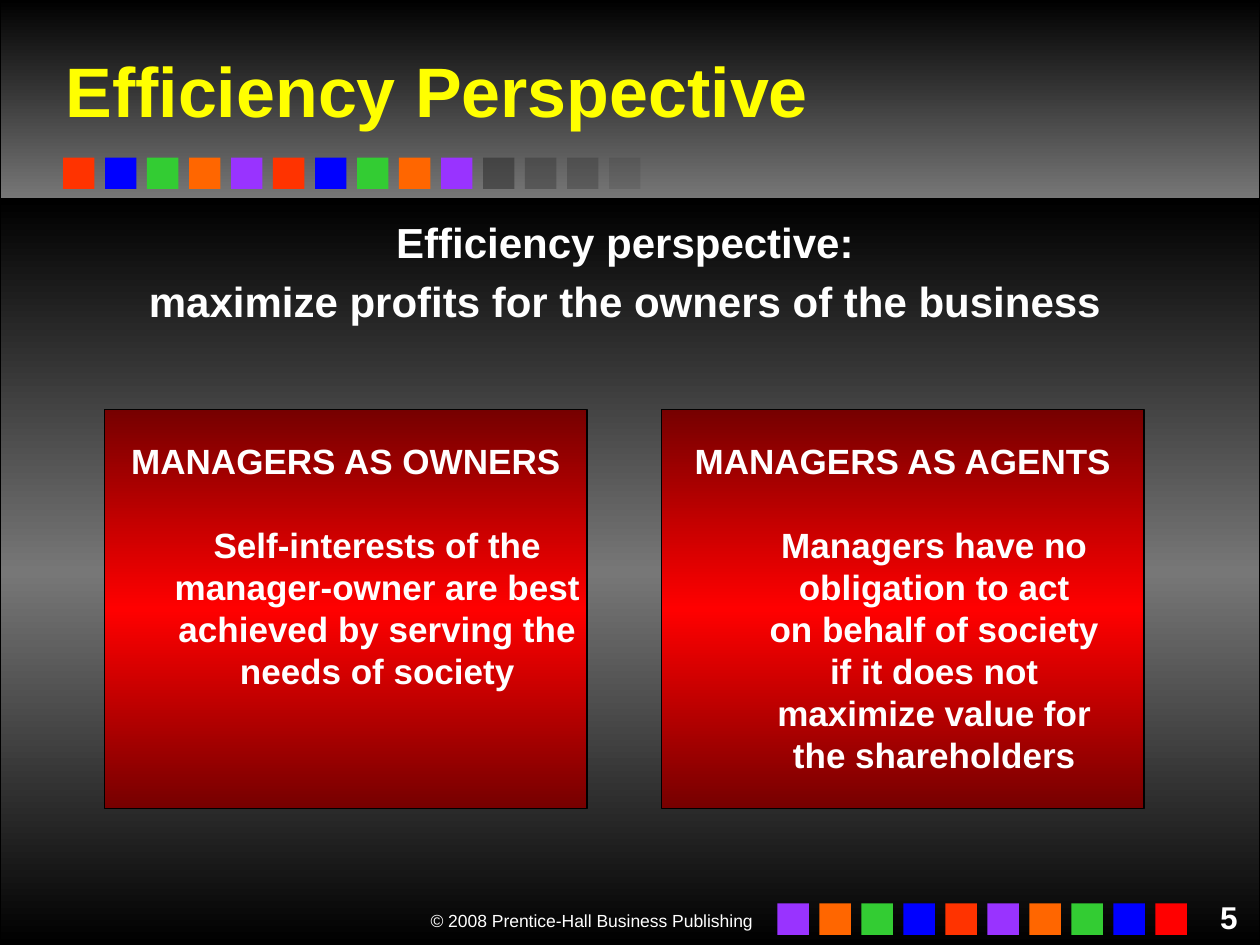
from lxml import etree
from pptx import Presentation
from pptx.dml.color import RGBColor
from pptx.enum.shapes import MSO_SHAPE
from pptx.enum.text import MSO_ANCHOR, PP_ALIGN
from pptx.oxml import parse_xml
from pptx.oxml.ns import nsdecls, qn
from pptx.util import Inches, Pt

RECTANGLE = MSO_SHAPE.RECTANGLE
TOP, MIDDLE = MSO_ANCHOR.TOP, MSO_ANCHOR.MIDDLE
LEFT, CENTER, RIGHT = PP_ALIGN.LEFT, PP_ALIGN.CENTER, PP_ALIGN.RIGHT

RED, BLUE, GREEN = "FF3300", "0000FF", "33CC33"
ORANGE, PURPLE, GREY = "FF6600", "9933FF", "292929"
BLACK, WHITE, YELLOW = "000000", "FFFFFF", "FFFF00"
SHADOW = (
    f'<a:effectLst {nsdecls("a")}><a:outerShdw dist="38100" dir="2700000">'
    f'<a:srgbClr val="{BLACK}"/></a:outerShdw></a:effectLst>'
)


def color(value):
    return RGBColor.from_string(value)


def style(para, size, value, align, bold=True):
    para.alignment = align
    para.font.name = "Arial"
    para.font.size = Pt(size)
    para.font.bold = bold
    para.font.color.rgb = color(value)


deck = Presentation()
deck.slide_width, deck.slide_height = Inches(10), Inches(7.5)
page = deck.slides.add_slide(deck.slide_layouts[5])
shapes = page.shapes

# Gradient panels: header, body and the two manager boxes
panels = []
for left, top, width, height, stops in [
    (0, 0, 10, 1.58, [BLACK, "777777"]),
    (0, 1.58, 10, 5.92, [BLACK, "777777", BLACK]),
    (0.83, 3.25, 3.83, 3.17, ["760000", "FF0000", "760000"]),
    (5.25, 3.25, 3.83, 3.17, ["760000", "FF0000", "760000"]),
]:
    panel = shapes.add_shape(
        RECTANGLE, Inches(left), Inches(top), Inches(width), Inches(height))
    panel.shadow.inherit = False
    panel.line.color.rgb = color(BLACK)
    panel.line.width = Pt(0.75)
    panel.fill.gradient()
    panel.fill.gradient_angle = 270  # counter-clockwise: runs top to bottom
    stop_list = panel._element.spPr.find(".//" + qn("a:gsLst"))
    for old_stop in list(stop_list):
        stop_list.remove(old_stop)
    for index, value in enumerate(stops):
        position = index * 100000 // (len(stops) - 1)
        stop = etree.SubElement(stop_list, qn("a:gs"), pos=str(position))
        etree.SubElement(stop, qn("a:srgbClr"), val=value)
    panels.append(panel)

# Rows of coloured squares, each with its opacity in percent
header_colors = [RED, BLUE, GREEN, ORANGE, PURPLE] * 2
header_row = [(value, 100) for value in header_colors]
header_row += [(GREY, opacity) for opacity in (50, 35, 30, 15)]
footer_colors = [PURPLE, ORANGE, GREEN, BLUE, RED,
                 PURPLE, ORANGE, GREEN, BLUE, "FF0000"]
footer_row = [(value, 100) for value in footer_colors]
for row_left, row_top, row in [(0.5, 1.25, header_row), (6.17, 7.17, footer_row)]:
    for index, (value, opacity) in enumerate(row):
        square = shapes.add_shape(
            RECTANGLE, Inches(row_left + index / 3), Inches(row_top),
            Inches(0.25), Inches(0.25))
        square.shadow.inherit = False
        square.line.fill.background()
        square.fill.solid()
        square.fill.fore_color.rgb = color(value)
        if opacity < 100:
            fill_color = square._element.spPr.find(".//" + qn("a:srgbClr"))
            etree.SubElement(fill_color, qn("a:alpha"), val=str(opacity * 1000))

# Title, brought in front of the panels
title = shapes.title
shapes._spTree.append(title._element)
title.left, title.top = Inches(0.42), Inches(0.25)
title.width, title.height = Inches(9.08), Inches(0.92)
title.text_frame.text = "Efficiency Perspective"
title.text_frame.vertical_anchor = MIDDLE
style(title.text_frame.paragraphs[0], 40, YELLOW, LEFT)

# Statement, copyright line and page number
text_boxes = []
for left, top, width, height, text, size, align, bold in [
    (0.42, 1.67, 9.08, 1.25,
     "Efficiency perspective:\nmaximize profits for the owners of the business",
     24, CENTER, True),
    (2.92, 7.17, 3.15, 0.27, "© 2008 Prentice-Hall Business Publishing",
     10, RIGHT, False),
    (9.42, 7.08, 0.5, 0.17, "5", 18, RIGHT, True),
]:
    box = shapes.add_textbox(
        Inches(left), Inches(top), Inches(width), Inches(height))
    box.text_frame.word_wrap = True
    box.text_frame.text = text
    for para in box.text_frame.paragraphs:
        style(para, size, WHITE, align, bold)
    text_boxes.append(box)
statement = text_boxes[0]
statement.text_frame.paragraphs[1].space_before = Pt(5)

# Text shadow on the title and the statement
for box in (title, statement):
    for para in box.text_frame.paragraphs:
        for span in para.runs:
            span._r.get_or_add_rPr().append(parse_xml(SHADOW))

# Manager boxes: heading, then indented lines
manager_texts = [
    ["MANAGERS AS OWNERS", "Self-interests of the", "manager-owner are best",
     "achieved by serving the", "needs of society"],
    ["MANAGERS AS AGENTS", "Managers have no", "obligation to act",
     "on behalf of society", "if it does not", "maximize value for",
     "the shareholders"],
]
for panel, lines in zip(panels[2:], manager_texts):
    frame = panel.text_frame
    frame.word_wrap = True
    frame.vertical_anchor = TOP
    frame.margin_left = frame.margin_right = 0
    frame.margin_top = Inches(0.24)
    frame.text = "\n".join(lines)
    for index, para in enumerate(frame.paragraphs):
        style(para, 20, WHITE, CENTER)
        if index > 0:
            para._p.get_or_add_pPr().set("marL", str(Inches(0.5)))
    frame.paragraphs[1].space_before = Pt(24)

deck.save("out.pptx")
